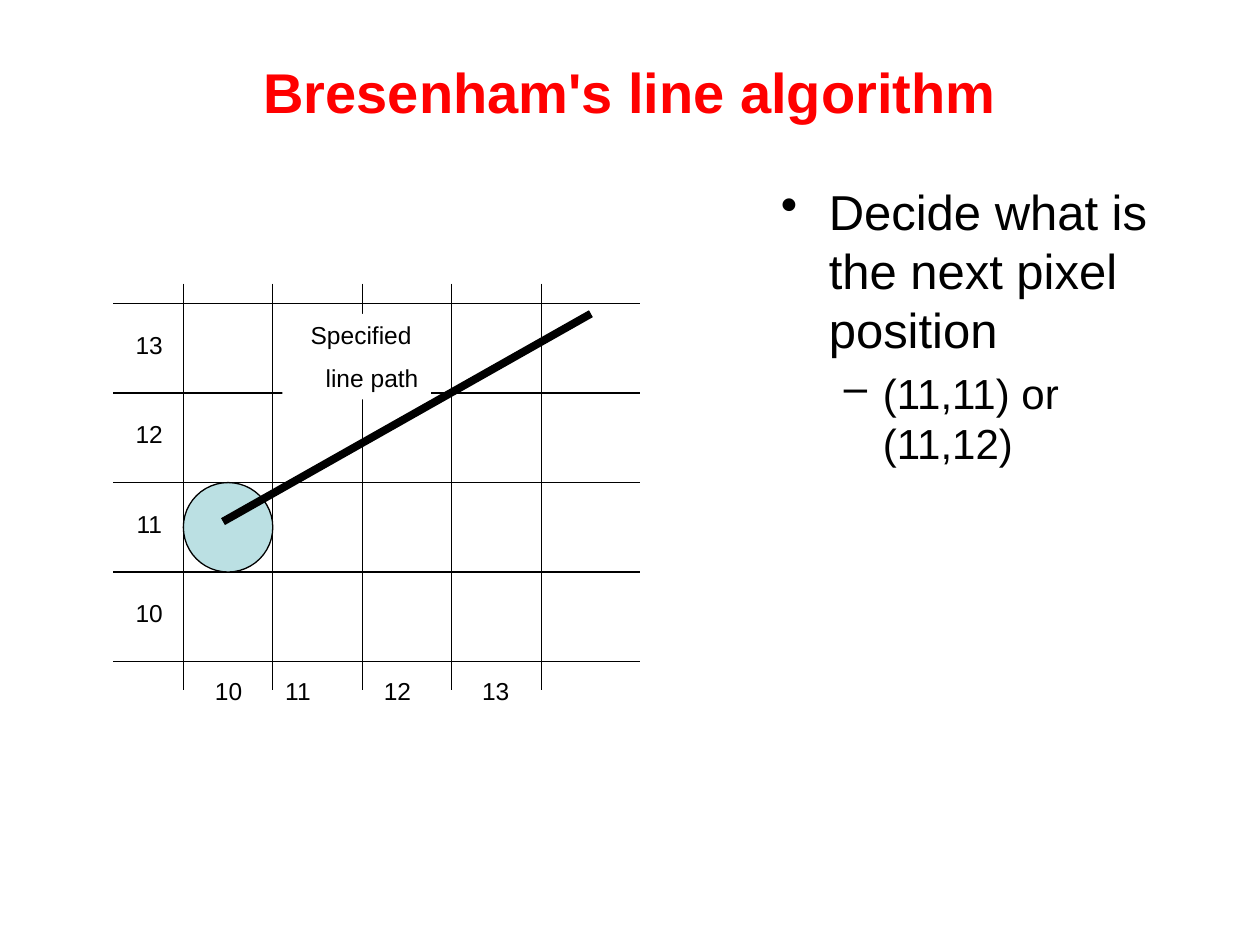
import pptx
import pptx.util
import pptx.dml.color
import pptx.enum.shapes
import pptx.enum.text
from lxml import etree

Inches, Pt = pptx.util.Inches, pptx.util.Pt
ALIGN = pptx.enum.text.PP_ALIGN
ANCHOR = pptx.enum.text.MSO_ANCHOR
SHAPES = pptx.enum.shapes.MSO_SHAPE
BLACK, WHITE, RED, PALE_BLUE = "000000", "FFFFFF", "FF0000", "BBE0E3"

# Content
TITLE = "Bresenham's line algorithm"
# text, bullet, left margin, hanging indent, size, space before
BULLETS = [
    ("Decide what is the next pixel position", "•", 0.38, 0.38, 28, 0),
    ("(11,11) or (11,12)", "–", 0.81, 0.31, 24, 5.5),
]
PATH_LABEL = ["Specified ", "line path"]
COLUMN_LABELS = [("10", 1.46), ("11", 2.01), ("12", 2.8), ("13", 3.58)]
ROW_LABELS = ["13", "12", "11", "10"]

# Pixel grid
CELL, LINE_COUNT = 0.71, 5
GRID_LEFT, GRID_TOP = 1.455, 2.41
ROW_SPAN, COLUMN_SPAN = (0.9, 5.08), (2.25, 5.48)


def color(code):
    return pptx.dml.color.RGBColor.from_string(code)


def add_span(para, text, size, code=BLACK, bold=False):
    span = para.add_run()
    span.text = text
    span.font.name = "Arial"
    span.font.size = Pt(size)
    span.font.bold = bold
    span.font.color.rgb = color(code)


def add_line(slide, start, end, width=0.75):
    line = slide.shapes.add_connector(
        pptx.enum.shapes.MSO_CONNECTOR.STRAIGHT,
        *(Inches(value) for value in start + end))
    line.line.color.rgb = color(BLACK)
    line.line.width = Pt(width)
    etree.SubElement(line._element.spPr, pptx.oxml.ns.qn("a:effectLst"))


def add_shape(slide, kind, place, fill):
    shape = slide.shapes.add_shape(kind, *(Inches(value) for value in place))
    shape.shadow.inherit = False
    shape.fill.solid()
    shape.fill.fore_color.rgb = color(fill)
    return shape


def add_label(slide, text, left, top):
    box = slide.shapes.add_textbox(Inches(left), Inches(top), Inches(CELL), Inches(0.33))
    box.text_frame.word_wrap = True
    para = box.text_frame.paragraphs[0]
    para.alignment = ALIGN.CENTER
    add_span(para, text, 14)


def next_para(frame, index):
    return frame.add_paragraph() if index else frame.paragraphs[0]


deck = pptx.Presentation()
deck.slide_width, deck.slide_height = Inches(10), Inches(7.5)
slide = deck.slides.add_slide(deck.slide_layouts[5])

# Title
title = slide.shapes.title
title.left, title.top, title.width, title.height = map(Inches, (0.5, 0.3, 9, 0.85))
title.text_frame.vertical_anchor = ANCHOR.MIDDLE
title.text_frame.paragraphs[0].alignment = ALIGN.CENTER
add_span(title.text_frame.paragraphs[0], TITLE, 32, RED, True)

# Bulleted text
body = slide.shapes.add_textbox(*map(Inches, (6.1, 1.39, 3.4, 5.31)))
body.text_frame.word_wrap = True
for index, (text, mark, margin, hanging, size, before) in enumerate(BULLETS):
    para = next_para(body.text_frame, index)
    para.level = index
    para.space_before = Pt(before)
    properties = para._p.get_or_add_pPr()
    properties.set("marL", str(Inches(margin)))
    properties.set("indent", str(-Inches(hanging)))
    bullet = etree.SubElement(properties, pptx.oxml.ns.qn("a:buChar"))
    bullet.set("char", mark)
    add_span(para, text, size)

# Grid lines
for index in range(LINE_COUNT):
    y = GRID_TOP + index * CELL
    add_line(slide, (ROW_SPAN[0], y), (ROW_SPAN[1], y))
for index in range(LINE_COUNT):
    x = GRID_LEFT + index * CELL
    add_line(slide, (x, COLUMN_SPAN[0]), (x, COLUMN_SPAN[1]))

# Current pixel and the line path
pixel = add_shape(slide, SHAPES.OVAL,
                  (GRID_LEFT, GRID_TOP + 2 * CELL, CELL, CELL), PALE_BLUE)
pixel.line.color.rgb = color(BLACK)
pixel.line.width = Pt(0.75)
add_line(slide, (1.77, 4.14), (4.69, 2.49), 4.5)

path_box = add_shape(slide, SHAPES.RECTANGLE, (2.24, 2.49, 1.18, 0.68), WHITE)
path_box.line.fill.background()
path_box.text_frame.word_wrap = True
path_box.text_frame.vertical_anchor = ANCHOR.TOP
for index, text in enumerate(PATH_LABEL):
    para = next_para(path_box.text_frame, index)
    para.alignment = ALIGN.RIGHT
    para.space_before = Pt(8 * index)
    add_span(para, text, 14)

# Grid labels
for text, left in COLUMN_LABELS:
    add_label(slide, text, left, 5.32)
for index, text in enumerate(ROW_LABELS):
    add_label(slide, text, 0.83, 2.57 + index * CELL)

deck.save("out.pptx")
